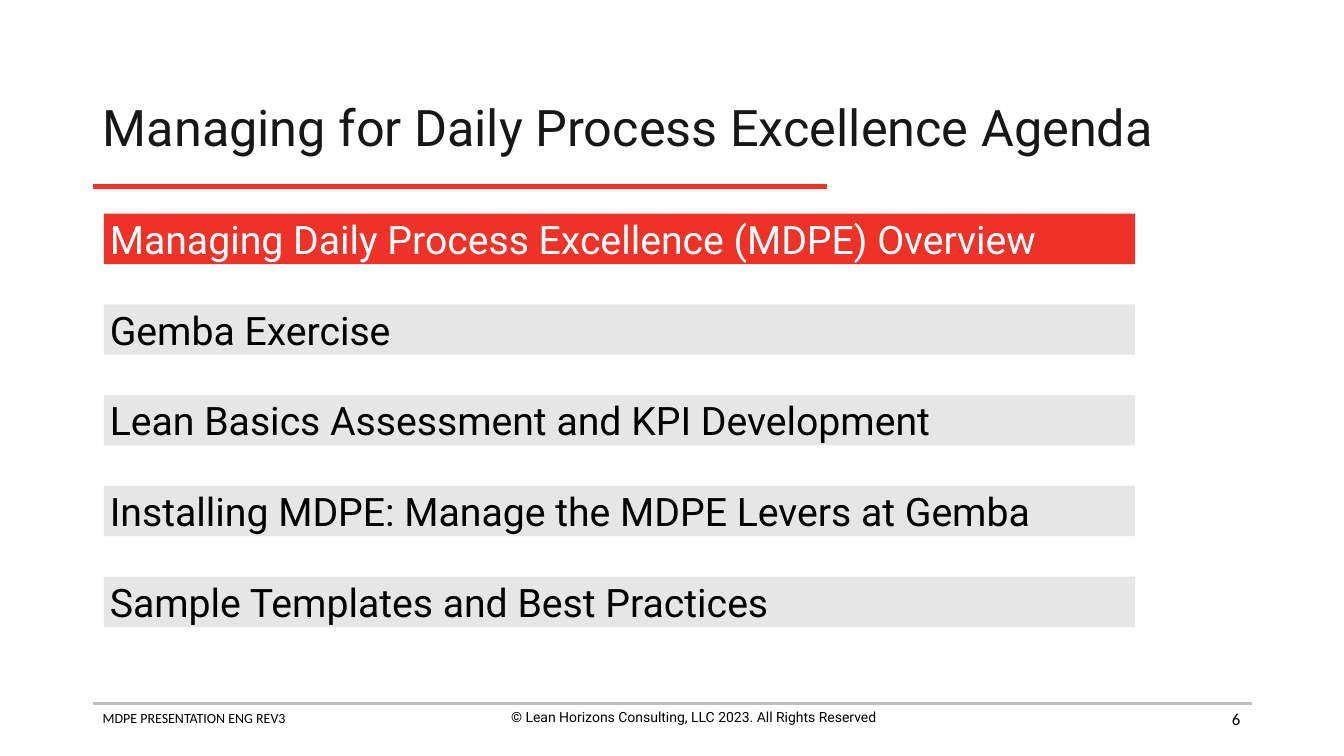
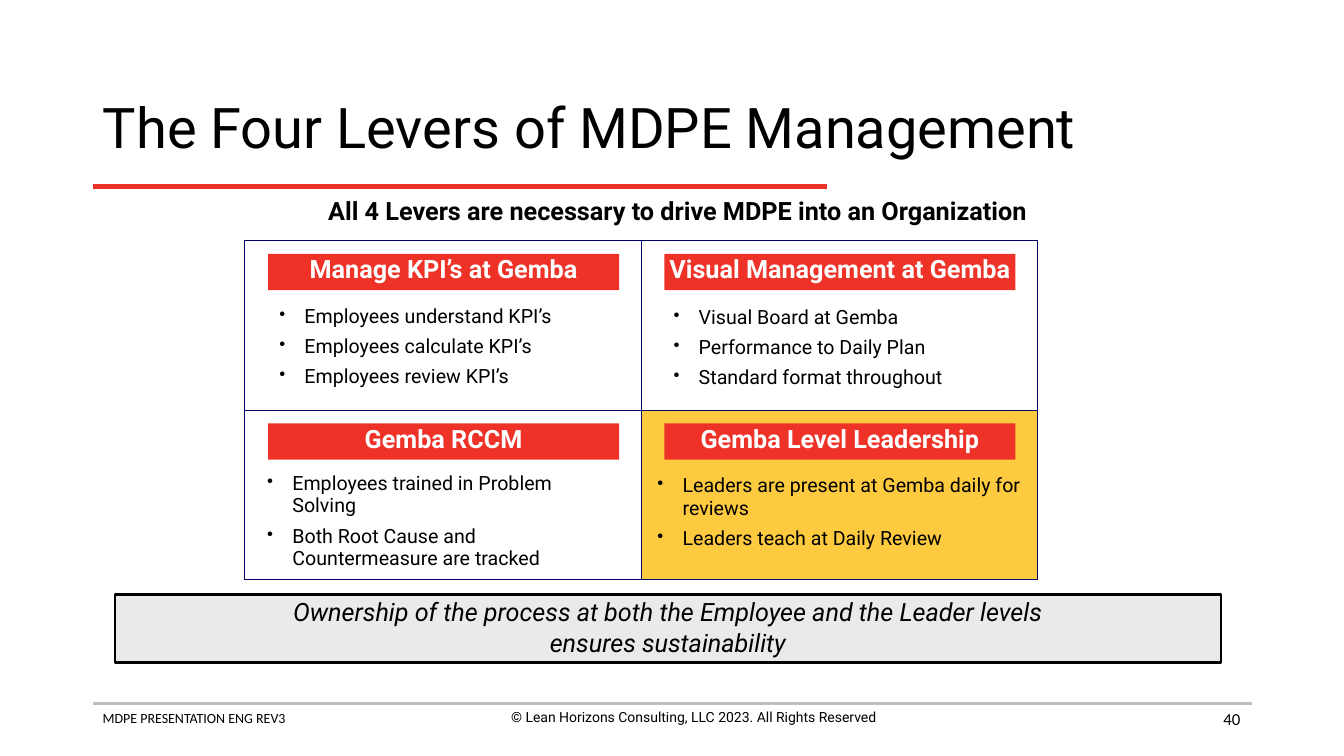
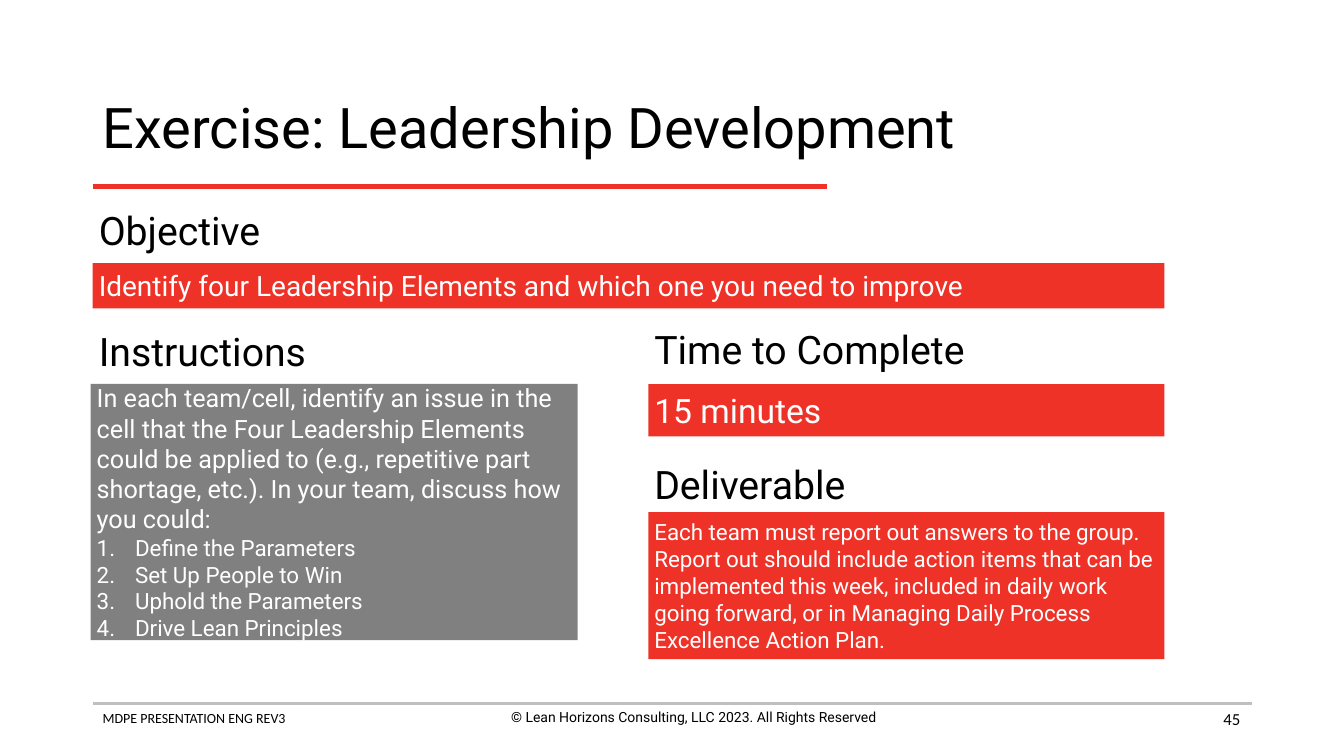
import pptx
import pptx.util
import pptx.dml.color
import pptx.enum.shapes
import pptx.enum.text
import lxml.etree
from pptx.oxml.ns import qn

Inches = pptx.util.Inches
Pt = pptx.util.Pt
RGB = pptx.dml.color.RGBColor
ALIGN = pptx.enum.text.PP_ALIGN
ANCHOR = pptx.enum.text.MSO_ANCHOR

RED = RGB(0xEE, 0x32, 0x28)
BLACK = RGB(0, 0, 0)
INK = RGB(0x18, 0x17, 0x17)
WHITE = RGB(255, 255, 255)
PALE = RGB(0xE7, 0xE6, 0xE6)
LIGHT = RGB(0xEA, 0xEA, 0xEA)
SILVER = RGB(0xBF, 0xBF, 0xBF)
GRAY = RGB(0x80, 0x80, 0x80)
NAVY = RGB(0, 0, 0x66)
GOLD = RGB(0xFD, 0xCA, 0x40)

WIDE = (0.1, 0.05)
TIGHT = (0.06, 0.06)
SNUG = (0.08, 0.04)

AGENDA = [
    "Managing Daily Process Excellence (MDPE) Overview",
    "Gemba Exercise",
    "Lean Basics Assessment and KPI Development",
    "Installing MDPE: Manage the MDPE Levers at Gemba",
    "Sample Templates and Best Practices",
]

LEVERS = [
    ("Manage KPI’s at Gemba", None, (2.69, 2.99, 3.37, 0.94),
     ["Employees understand KPI’s", "Employees calculate KPI’s",
      "Employees review KPI’s"]),
    ("Visual Management at Gemba", None, (6.6, 3, 3.49, 0.94),
     ["Visual Board at Gemba", "Performance to Daily Plan",
      "Standard format throughout"]),
    ("Gemba RCCM", None, (2.57, 4.65, 3.58, 1.07),
     ["Employees trained in Problem Solving",
      "Both Root Cause and Countermeasure are tracked"]),
    ("Gemba Level Leadership", GOLD, (6.44, 4.67, 3.78, 0.85),
     ["Leaders are present at Gemba daily for reviews",
      "Leaders teach at Daily Review"]),
]
CLAIM = "All 4 Levers are necessary to drive MDPE into an Organization"
BANNER = ("Ownership of the process at both the Employee and the Leader levels"
          "\vensures sustainability")

HEADS = [
    ("Objective", (0.92, 1.99, 1.75, 0.58)),
    ("Instructions", (0.92, 3.19, 2.21, 0.58)),
    ("Time to Complete", (6.43, 3.17, 3.25, 0.58)),
    ("Deliverable", (6.43, 4.51, 2.07, 0.58)),
]
PANELS = [
    ("Identify four Leadership Elements and which one you need to improve",
     (0.92, 2.61, 10.63, 0.45), 20),
    ("15 minutes", (6.43, 3.81, 5.12, 0.52), 24),
    ("Each team must report out answers to the group. Report out should "
     "include action items that can be implemented this week, included in "
     "daily work going forward, or in Managing Daily Process Excellence "
     "Action Plan.", (6.43, 5.08, 5.12, 1.46), 16),
]
TASK = ("In each team/cell, identify an issue in the cell that the Four "
        "Leadership Elements could be applied to (e.g., repetitive part "
        "shortage, etc.). In your team, discuss how you could:")
STEPS = ["Define the Parameters", "Set Up People to Win",
         "Uphold the Parameters", "Drive Lean Principles"]


def indent(para, width):
    props = para._p.get_or_add_pPr()
    props.set("marL", str(Inches(width)))
    props.set("indent", str(-Inches(width)))
    return props


def bullet(para):
    props = indent(para, 0.25)
    tint = lxml.etree.SubElement(props, qn("a:buClr"))
    lxml.etree.SubElement(tint, qn("a:srgbClr"), val=str(BLACK))
    lxml.etree.SubElement(props, qn("a:buSzPct"), val="90000")
    lxml.etree.SubElement(props, qn("a:buChar"), char="•")


def number(para):
    lxml.etree.SubElement(indent(para, 0.38), qn("a:buAutoNum"),
                          type="arabicPeriod")


def style(para, size, color=BLACK, face="Roboto", bold=False, slant=False,
          align=ALIGN.LEFT, space=None):
    para.alignment = align
    if space:
        para.line_spacing = space
    font = para.font
    font.size, font.name = Pt(size), face
    font.bold, font.italic = bold, slant
    font.color.rgb = color


def setup(frame, pad, anchor, wrap=True):
    frame.word_wrap = wrap
    frame.vertical_anchor = anchor
    frame.margin_left = frame.margin_right = Inches(pad[0])
    frame.margin_top = frame.margin_bottom = Inches(pad[1])


def label(slide, at, text, size, pad=WIDE, anchor=ANCHOR.TOP, wrap=True,
          **look):
    frame = slide.shapes.add_textbox(*map(Inches, at)).text_frame
    setup(frame, pad, anchor, wrap)
    frame.paragraphs[0].text = text
    style(frame.paragraphs[0], size, **look)


def block(slide, at, fill=None, line=None, weight=0.75):
    shape = slide.shapes.add_shape(
        pptx.enum.shapes.MSO_SHAPE.RECTANGLE, *map(Inches, at))
    shape.shadow.inherit = False
    if fill is None:
        shape.fill.background()
    else:
        shape.fill.solid()
        shape.fill.fore_color.rgb = fill
    if line is None:
        shape.line.fill.background()
    else:
        shape.line.color.rgb = line
        shape.line.width = Pt(weight)
    return shape


def panel(slide, at, text, size, fill, pad=TIGHT, anchor=ANCHOR.MIDDLE,
          wrap=True, line=None, weight=0.75, **look):
    frame = block(slide, at, fill, line, weight).text_frame
    setup(frame, pad, anchor, wrap)
    frame.paragraphs[0].text = text
    style(frame.paragraphs[0], size, **look)
    return frame


def rule(slide, left, right, top, color, weight):
    line = slide.shapes.add_connector(
        pptx.enum.shapes.MSO_CONNECTOR.STRAIGHT,
        Inches(left), Inches(top), Inches(right), Inches(top))
    line.line.color.rgb = color
    line.line.width = Pt(weight)
    lxml.etree.SubElement(line.element.spPr, qn("a:effectLst"))


def start(deck, text, page, size=40, color=BLACK):
    slide = deck.slides.add_slide(deck.slide_layouts[5])
    rule(slide, 0.92, 12.42, 6.98, SILVER, 2)
    label(slide, (0.92, 6.99, 4.56, 0.44), "MDPE PRESENTATION ENG REV3", 10,
          face="Calibri")
    label(slide, (4.6, 6.98, 4.56, 0.44),
          "© Lean Horizons Consulting, LLC 2023. All Rights Reserved", 10,
          align=ALIGN.CENTER)
    rule(slide, 0.92, 8.2, 1.85, RED, 3)
    title = slide.shapes.title
    title.left, title.top = Inches(0.92), Inches(0.74)
    title.width, title.height = Inches(11.5), Inches(1.1)
    title.text_frame.text = text
    title.text_frame.auto_size = pptx.enum.text.MSO_AUTO_SIZE.NONE
    setup(title.text_frame, WIDE, ANCHOR.MIDDLE)
    style(title.text_frame.paragraphs[0], size, color, space=0.9)
    label(slide, (9.4, 6.93, 3, 0.4), str(page), 12, anchor=ANCHOR.MIDDLE,
          face="Calibri", align=ALIGN.RIGHT)
    return slide


def agenda(deck):
    slide = start(deck, "Managing for Daily Process Excellence Agenda", 6,
                  36, INK)
    for row, topic in enumerate(AGENDA):
        fill, color = (PALE, BLACK) if row else (RED, WHITE)
        panel(slide, (1.03, 2.12 + 0.9 * row, 10.23, 0.5), topic, 28, fill,
              color=color)


def levers(deck):
    slide = start(deck, "The Four Levers of MDPE Management", 40)
    label(slide, (1.24, 1.96, 10.96, 0.31), CLAIM, 18, bold=True,
          align=ALIGN.CENTER, space=0.75)
    wide, high = 3.93, 1.68
    for spot, (head, fill, at, points) in enumerate(LEVERS):
        row, col = divmod(spot, 2)
        left, top = 2.43 + wide * col, 2.39 + high * row
        block(slide, (left, top, wide, high), fill, NAVY)
        panel(slide, (left + 0.23, top + 0.13, 3.48, 0.36), head, 18, RED,
              pad=WIDE, wrap=False, color=WHITE, bold=True,
              align=ALIGN.CENTER, space=0.75)
        frame = slide.shapes.add_textbox(*map(Inches, at)).text_frame
        setup(frame, SNUG, ANCHOR.TOP)
        for place, point in enumerate(points):
            para = frame.add_paragraph() if place else frame.paragraphs[0]
            para.text = point
            bullet(para)
            if place:
                para.space_before = Pt(2.8)
            para.space_after = Pt(2.8)
            style(para, 14, space=0.95)
    panel(slide, (1.14, 5.9, 10.97, 0.67), BANNER, 18, LIGHT, pad=WIDE,
          anchor=ANCHOR.BOTTOM, line=BLACK, weight=2, slant=True,
          align=ALIGN.CENTER)


def drill(deck):
    slide = start(deck, "Exercise: Leadership Development", 45)
    for text, at in HEADS:
        label(slide, at, text, 28, pad=TIGHT, wrap=False)
    for text, at, size in PANELS:
        panel(slide, at, text, size, RED, color=WHITE)
    frame = panel(slide, (0.9, 3.81, 4.83, 2.54), TASK, 18, GRAY, color=WHITE)
    for step in STEPS:
        para = frame.add_paragraph()
        para.text = step
        number(para)
        style(para, 16, WHITE)


def main():
    deck = pptx.Presentation()
    deck.slide_width, deck.slide_height = Inches(13.33), Inches(7.5)
    agenda(deck)
    levers(deck)
    drill(deck)
    deck.save("out.pptx")


if __name__ == "__main__":
    main()
